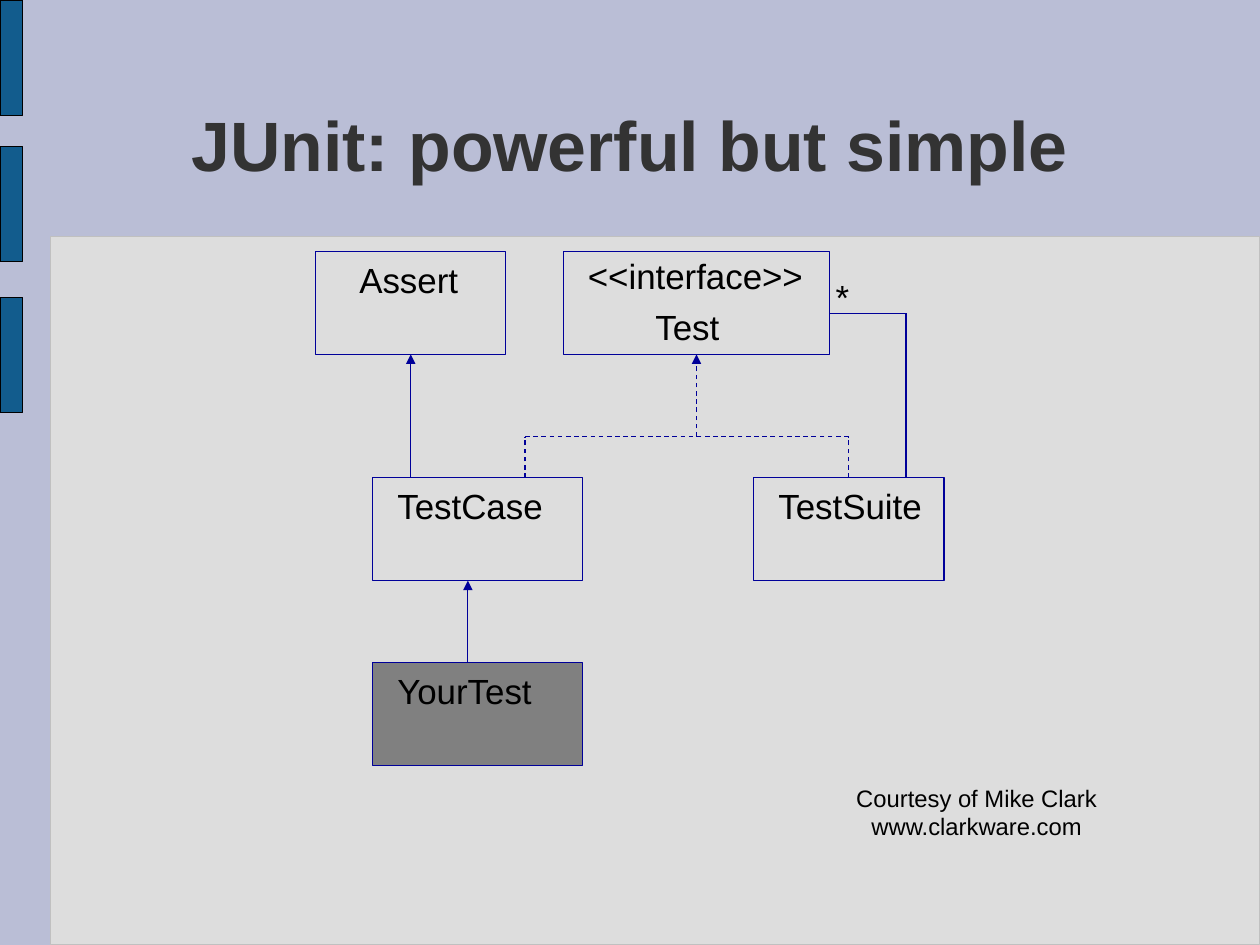
from dataclasses import dataclass

from lxml import etree
from pptx import Presentation
from pptx.dml.color import RGBColor
from pptx.enum.dml import MSO_LINE
from pptx.enum.shapes import MSO_CONNECTOR, MSO_SHAPE
from pptx.enum.text import MSO_ANCHOR, PP_ALIGN
from pptx.oxml.ns import qn
from pptx.util import Cm, Inches, Pt

RECT = MSO_SHAPE.RECTANGLE
LINE = MSO_CONNECTOR.STRAIGHT
DASH = MSO_LINE.DASH
LEFT, CENTER = PP_ALIGN.LEFT, PP_ALIGN.CENTER
TOP, MIDDLE = MSO_ANCHOR.TOP, MSO_ANCHOR.MIDDLE

WIDTH, HEIGHT = Cm(28), Cm(21)
# The class diagram sits on a grid of COL by ROW inches
X0, Y0 = 2.76, 2.2
COL, ROW = 1 / 6, 0.18
BOX_ROWS = 5


@dataclass(frozen=True)
class Theme:
    font: str = "Arial"
    back: str = "BABED6"
    panel: str = "DDDDDD"
    edge: str = "C0C0C0"
    bar: str = "125C8D"
    ink: str = "000000"
    head: str = "333333"
    line: str = "000099"
    dark: str = "808080"
    title: int = 44
    label: int = 22
    credit: int = 15
    stroke: float = 0.75


THEME = Theme()


def color(code):
    return RGBColor.from_string(code)


def grid(col, row):
    return X0 + col * COL, Y0 + row * ROW


def write(shape, text, size=THEME.label, ink=THEME.ink, bold=False,
          align=LEFT, anchor=TOP, inset=(0.05, 0.03, 0.05, 0.03),
          gap=0, indent=0, spacing=None):
    """Fill a shape with text; gap and indent apply after the first line."""
    frame = shape.text_frame
    frame.word_wrap = True
    frame.vertical_anchor = anchor
    (frame.margin_left, frame.margin_top,
     frame.margin_right, frame.margin_bottom) = map(Inches, inset)
    frame.text = text
    for i, para in enumerate(frame.paragraphs):
        para.alignment = align
        para.line_spacing = spacing
        if i:
            para.space_before = Pt(gap)
            para._p.get_or_add_pPr().set("marL", str(Inches(indent)))
        font = para.font
        font.name, font.size, font.bold = THEME.font, Pt(size), bold
        font.color.rgb = color(ink)


def block(slide, x, y, w, h, line, fill=None):
    shape = slide.shapes.add_shape(RECT, *map(Inches, (x, y, w, h)))
    shape.shadow.inherit = False
    if fill:
        shape.fill.solid()
        shape.fill.fore_color.rgb = color(fill)
    else:
        shape.fill.background()
    shape.line.color.rgb = color(line)
    shape.line.width = Pt(THEME.stroke)
    return shape


def label(slide, x, y, w, h, text, **style):
    box = slide.shapes.add_textbox(*map(Inches, (x, y, w, h)))
    write(box, text, **style)


def node(slide, col, row, cols, text, pad=1, top=0.06, fill=None, **style):
    """Draw a class box, its name set in by pad columns."""
    shape = block(slide, *grid(col, row), cols * COL, BOX_ROWS * ROW,
                  THEME.line, fill)
    write(shape, text, inset=(pad * COL + 0.05, top, 0, 0), **style)


def link(slide, start, end, dash=False, arrow=False):
    ends = map(Inches, grid(*start) + grid(*end))
    wire = slide.shapes.add_connector(LINE, *ends)
    wire.line.color.rgb = color(THEME.line)
    wire.line.width = Pt(THEME.stroke)
    if dash:
        wire.line.dash_style = DASH
    if arrow:
        tail = etree.SubElement(wire.line._get_or_add_ln(), qn("a:tailEnd"))
        tail.set("type", "triangle")
    etree.SubElement(wire._element.spPr, qn("a:effectLst"))


def frame(slide):
    """Set the background, the content panel and the bars at the left."""
    slide.background.fill.solid()
    slide.background.fill.fore_color.rgb = color(THEME.back)
    left, top = 0.44, 2.07
    block(slide, left, top, WIDTH.inches - left, HEIGHT.inches - top,
          THEME.edge, THEME.panel)
    for y in (0, 1.28, 2.6):
        block(slide, 0, y, 0.2, 1.01, THEME.ink, THEME.bar)


def diagram(slide):
    node(slide, 0, 0, 10, "Assert", pad=2)
    node(slide, 13, 0, 14, "<<interface>>\nTest", top=0.03, gap=5.5,
         indent=0.59)
    node(slide, 3, 11, 11, "TestCase")
    node(slide, 23, 11, 10, "TestSuite")
    node(slide, 3, 20, 11, "YourTest", fill=THEME.dark)

    link(slide, (5, 11), (5, 5), arrow=True)
    link(slide, (8, 20), (8, 16), arrow=True)
    link(slide, (20, 9), (20, 5), dash=True, arrow=True)
    for col in (11, 28):
        link(slide, (col, 9), (20, 9), dash=True)
        link(slide, (col, 11), (col, 9), dash=True)
    link(slide, (27, 3), (31, 3))
    link(slide, (31, 11), (31, 3))
    label(slide, *grid(27, 1), 2 * COL, 0.42, "*")


def main():
    deck = Presentation()
    deck.slide_width, deck.slide_height = WIDTH, HEIGHT
    slide = deck.slides.add_slide(deck.slide_layouts[6])
    frame(slide)
    label(slide, 0.81, 0.61, 9.41, 1.37, "JUnit: powerful but simple",
          size=THEME.title, ink=THEME.head, bold=True, align=CENTER,
          anchor=MIDDLE, inset=(0, 0, 0, 0), spacing=0.93)
    diagram(slide)
    label(slide, 7.38, 6.8, 2.33, 0.61,
          "Courtesy of Mike Clark\nwww.clarkware.com", size=THEME.credit,
          align=CENTER, anchor=MIDDLE)
    deck.save("out.pptx")


if __name__ == "__main__":
    main()
